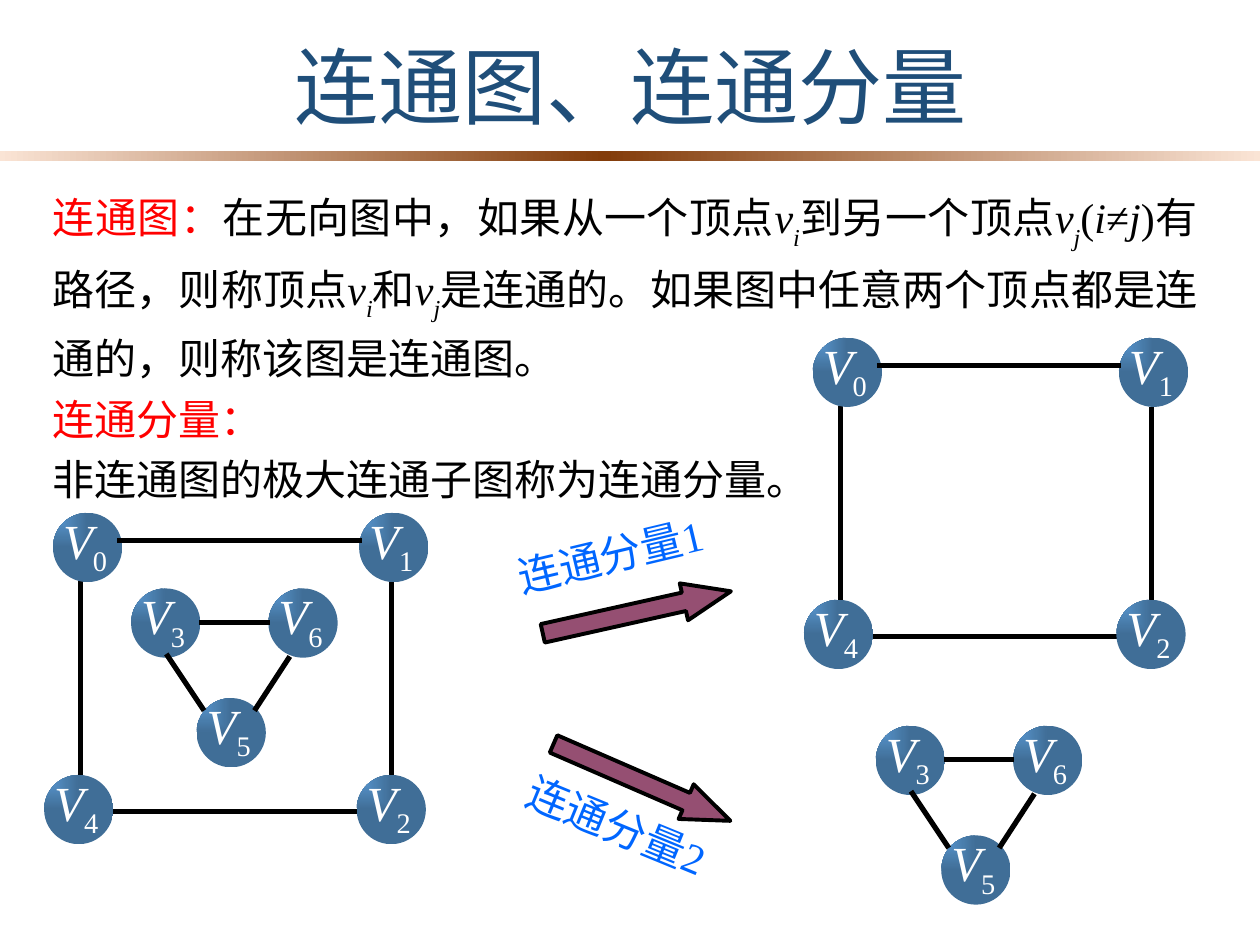
from lxml.etree import SubElement
from pptx import Presentation
from pptx.dml.color import RGBColor
from pptx.enum.shapes import MSO_CONNECTOR, MSO_SHAPE
from pptx.enum.text import MSO_ANCHOR, PP_ALIGN
from pptx.oxml import parse_xml
from pptx.oxml.ns import nsdecls, qn
from pptx.util import Inches, Pt

BLACK = RGBColor(0x00, 0x00, 0x00)
WHITE = RGBColor(0xFF, 0xFF, 0xFF)
RED = RGBColor(0xFF, 0x00, 0x00)
NAVY = RGBColor(0x1F, 0x4E, 0x79)
LABEL_BLUE = RGBColor(0x00, 0x66, 0xFF)
NODE_BLUE = RGBColor(0x5B, 0x9B, 0xD5)
PLUM = RGBColor(0x95, 0x4F, 0x72)
PEACH = RGBColor(0xFB, 0xE5, 0xD6)
BROWN = RGBColor(0x84, 0x3C, 0x0B)

SERIF = "Times New Roman"
CJK = "Noto Sans CJK SC"
NODE_SIZE = 0.55

SQUARE_NODES = [("0", 0.07, 0), ("1", 2.5, 0), ("4", 0, 2.08), ("2", 2.48, 2.08)]
SQUARE_UNDER = [(0.55, 2.37, 2.5, 2.37), (0.29, 0.54, 0.29, 2.08), (2.76, 0.55, 2.76, 2.12)]
SQUARE_OVER = [(0.58, 0.22, 2.52, 0.22)]
TRIANGLE_NODES = [("3", 0, 0), ("6", 1.09, 0), ("5", 0.52, 0.87)]
TRIANGLE_OVER = [(0.54, 0.27, 1.1, 0.27), (0.28, 0.52, 0.58, 0.97), (1.26, 0.54, 0.98, 0.97)]


def add_run(p, text, size, color, font=SERIF, italic=False, baseline=0):
    """Append one formatted run to a paragraph."""
    r = p.add_run()
    r.text = text
    r.font.size = Pt(size)
    r.font.name = font
    r.font.italic = italic
    r.font.color.rgb = color
    rPr = r.font._element
    SubElement(rPr, qn("a:ea")).set("typeface", CJK)
    if baseline:
        rPr.set("baseline", str(baseline * 1000))


def add_text_box(s, left, top, width, height):
    """Add a wrapping text box and return it."""
    box = s.shapes.add_textbox(Inches(left), Inches(top), Inches(width), Inches(height))
    box.text_frame.word_wrap = True
    return box


def add_preset(s, kind, left, top, width, height):
    """Add a preset shape without shadow or outline."""
    sp = s.shapes.add_shape(kind, Inches(left), Inches(top), Inches(width), Inches(height))
    sp.shadow.inherit = False
    sp.line.fill.background()
    return sp


def fill_gradient(sp, stops, direction):
    """Fill a shape with (position, colour, shade) stops along a direction element."""
    gs = "".join(
        f'<a:gs pos="{pos * 1000}"><a:srgbClr val="{color}">'
        f'<a:shade val="{shade * 1000}"/></a:srgbClr></a:gs>'
        for pos, color, shade in stops)
    grad = parse_xml(f'<a:gradFill {nsdecls("a")} rotWithShape="1">'
                     f'<a:gsLst>{gs}</a:gsLst>{direction}</a:gradFill>')
    sp._element.spPr.find(qn("a:prstGeom")).addnext(grad)


def add_edge(s, x1, y1, x2, y2):
    """Draw one graph edge."""
    line = s.shapes.add_connector(
        MSO_CONNECTOR.STRAIGHT, Inches(x1), Inches(y1), Inches(x2), Inches(y2))
    line.line.color.rgb = BLACK
    line.line.width = Pt(3)
    SubElement(line._element.spPr, qn("a:effectLst"))


def add_node(s, name, left, top):
    """Draw one vertex with its subscripted name."""
    sp = add_preset(s, MSO_SHAPE.OVAL, left, top, NODE_SIZE, NODE_SIZE)
    fill_gradient(sp, [(0, NODE_BLUE, 100), (100, NODE_BLUE, 46)],
                  '<a:path path="rect"><a:fillToRect r="100000" b="100000"/></a:path>')
    tf = add_text_box(s, left + 0.07, top - 0.05, 0.51, 0.65).text_frame
    tf.margin_left, tf.margin_top = Inches(0.01), Inches(0.03)
    tf.margin_right, tf.margin_bottom = Inches(0), Inches(0.01)
    p = tf.paragraphs[0]
    p.alignment = PP_ALIGN.JUSTIFY
    add_run(p, "V", 28, WHITE, italic=True)
    add_run(p, name, 28, WHITE, baseline=-25)


def add_graph(s, left, top, nodes, over, under=()):
    """Draw a graph whose parts are offsets from its top left corner."""
    for x1, y1, x2, y2 in under:
        add_edge(s, left + x1, top + y1, left + x2, top + y2)
    for name, x, y in nodes:
        add_node(s, name, left + x, top + y)
    for x1, y1, x2, y2 in over:
        add_edge(s, left + x1, top + y1, left + x2, top + y2)


def add_component_arrow(s, text, label_box, label_angle, left, top, angle):
    """Draw a rotated block arrow with its rotated label."""
    label = add_text_box(s, *label_box)
    label.rotation = label_angle
    p = label.text_frame.paragraphs[0]
    p.alignment = PP_ALIGN.JUSTIFY
    add_run(p, text, 24, LABEL_BLUE)
    arrow = add_preset(s, MSO_SHAPE.RIGHT_ARROW, left, top, 1.53, 0.3)
    arrow.adjustments[0] = 0.5
    arrow.adjustments[1] = 1.273
    arrow.rotation = angle
    arrow.fill.solid()
    arrow.fill.fore_color.rgb = PLUM
    arrow.line.color.rgb = BLACK
    arrow.line.width = Pt(2.25)


def add_header(s, left, top, width, height):
    """Add the gradient rule and the centred title."""
    bar = add_preset(s, MSO_SHAPE.RECTANGLE, -0.01, 1.2, 10.01, 0.08)
    fill_gradient(bar, [(0, PEACH, 100), (48, BROWN, 100), (100, PEACH, 100)],
                  '<a:lin ang="0" scaled="0"/>')
    tf = add_text_box(s, left, top, width, height).text_frame
    tf.vertical_anchor = MSO_ANCHOR.MIDDLE
    p = tf.paragraphs[0]
    p.alignment = PP_ALIGN.CENTER
    add_run(p, "连通图、连通分量", 48, NAVY, font="Arial")


def add_definitions(s, left, top, width, height):
    """Add the definitions of connected graph and connected component."""
    italic = {"italic": True}
    sub = {"italic": True, "baseline": -30}
    vi = [("v", italic), ("i", sub)]
    vj = [("v", italic), ("j", sub)]
    red = {"color": RED}
    paragraphs = [
        [("连通图：", red), ("在无向图中，如果从一个顶点", {}), *vi,
         ("到另一个顶点", {}), *vj, ("(", {}), ("i", italic), ("≠", {}),
         ("j", italic), (")有路径，则称顶点", {}), *vi, ("和", {}), *vj,
         ("是连通的。如果图中任意两个顶点都是连通的，则称该图是连通", {}),
         ("图。", {"font": CJK})],
        [("连通分量：", red)],
        [("非连通图的极大连通子图称为连通分量。", {})],
    ]
    tf = add_text_box(s, left, top, width, height).text_frame
    for i, runs in enumerate(paragraphs):
        p = tf.add_paragraph() if i else tf.paragraphs[0]
        p.alignment = PP_ALIGN.JUSTIFY
        p.line_spacing = 1.2
        for text, style in runs:
            add_run(p, text, 24, **{"color": BLACK, **style})


def main():
    """Build the slide and save it."""
    prs = Presentation()
    prs.slide_width, prs.slide_height = Inches(10), Inches(7.5)
    s = prs.slides.add_slide(prs.slide_layouts[6])
    add_header(s, 0.9, 0.19, 8.21, 0.97)
    add_definitions(s, 0.32, 1.38, 9.28, 2.52)
    for left, top in [(0.35, 4.07), (6.38, 2.68)]:
        add_graph(s, left, top, SQUARE_NODES, SQUARE_OVER, SQUARE_UNDER)
    for left, top in [(1.04, 4.67), (6.95, 5.76)]:
        add_graph(s, left, top, TRIANGLE_NODES, TRIANGLE_OVER)
    add_component_arrow(s, "连通分量1", (3.99, 4.11, 2.08, 0.5), 346.6, 4.29, 4.71, 347.4)
    add_component_arrow(s, "连通分量2", (4.03, 6.39, 2.17, 0.5), 22.4, 4.33, 6.06, 23.5)
    prs.save("out.pptx")


if __name__ == "__main__":
    main()
